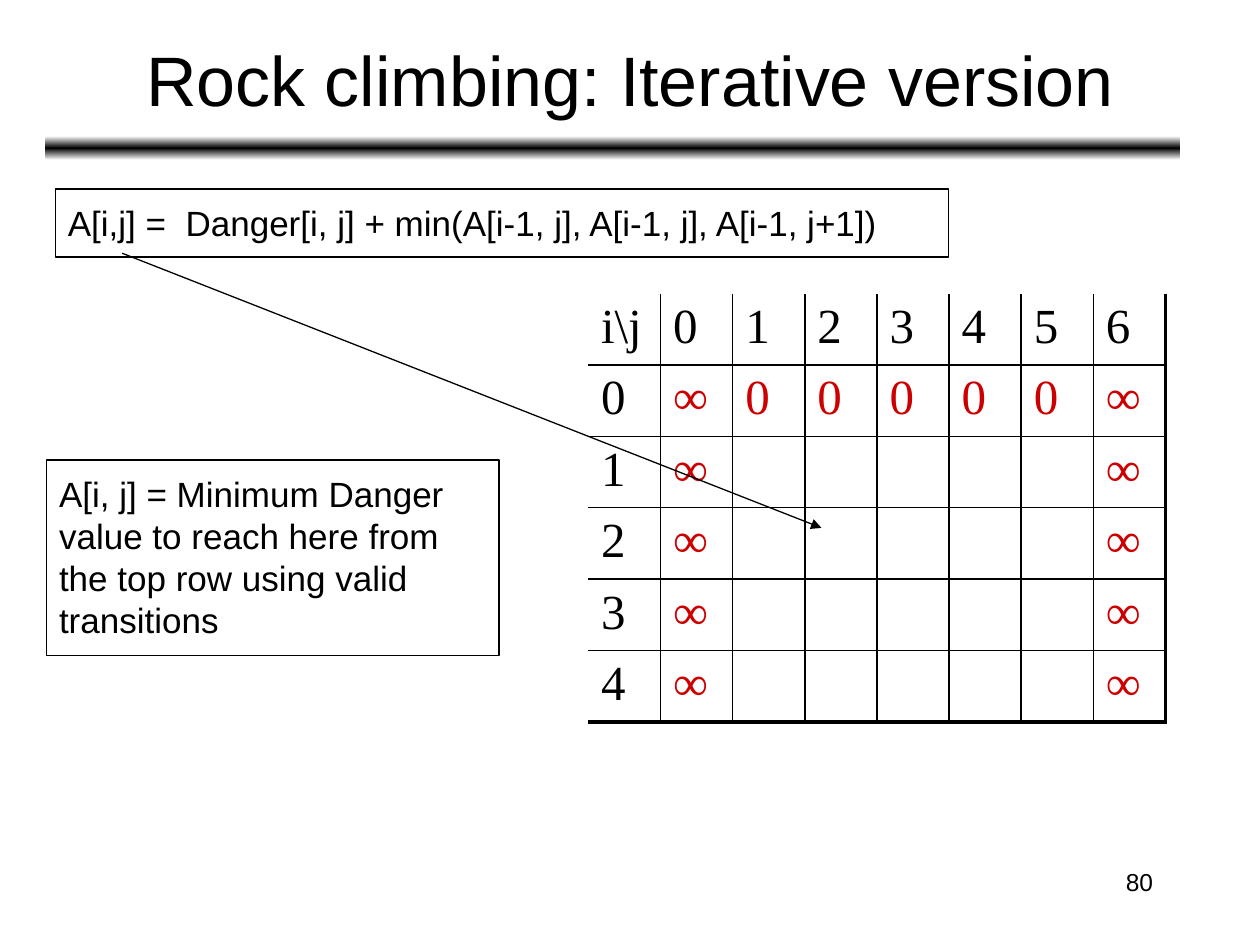
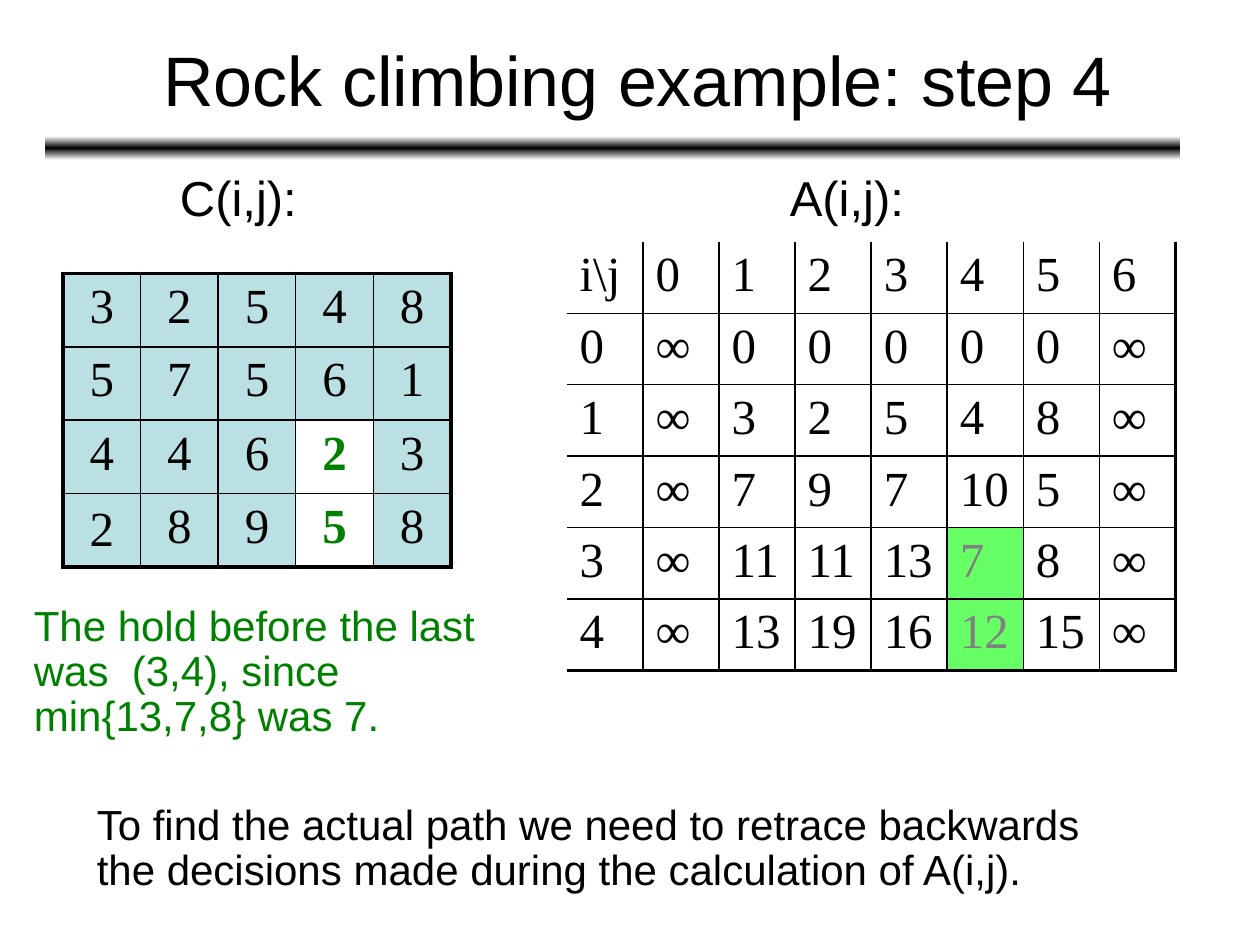
from lxml import etree
from pptx import Presentation
from pptx.dml.color import RGBColor
from pptx.enum.shapes import MSO_CONNECTOR, MSO_SHAPE
from pptx.enum.text import MSO_ANCHOR, MSO_AUTO_SIZE, PP_ALIGN
from pptx.oxml import parse_xml
from pptx.oxml.ns import nsdecls, qn
from pptx.util import Inches, Pt

BLACK, WHITE, RED, GREEN = "000000", "FFFFFF", "CC0000", "008000"
PALE_BLUE, LIME, GREY = "BBE0E3", "66FF66", "808080"
SANS, SERIF = "Arial", "Times New Roman"
THIN, THICK = 1, 2.25

HEADER = ["i\\j", "0", "1", "2", "3", "4", "5", "6"]
OPEN_FRAME = {"L": 0, "R": THICK, "T": 0, "B": THICK}
CLOSED_FRAME = dict.fromkeys("LRTB", THICK)

START_ROWS = [HEADER, ["0", "∞", *"00000", "∞"]] + [
    [str(i), "∞", *[""] * 5, "∞"] for i in range(1, 5)]
RED_VALUES = {(i, j): {"color": RED} for i in range(1, 6) for j in range(1, 8)}

DANGER_ROWS = ["32548", "57561", "44623", "28958"]
ON_PATH = {"color": GREEN, "bold": True, "fill": WHITE}
DANGER_STYLES = {(2, 3): ON_PATH, (3, 3): ON_PATH,
                 (3, 0): {"anchor": MSO_ANCHOR.MIDDLE}}

COST_VALUES = [[0] * 5, [3, 2, 5, 4, 8], [7, 9, 7, 10, 5],
               [11, 11, 13, 7, 8], [13, 19, 16, 12, 15]]
COST_ROWS = [HEADER] + [[str(i), "∞", *map(str, values), "∞"]
                        for i, values in enumerate(COST_VALUES)]
RETRACED = {"color": GREY, "fill": LIME}
COST_STYLES = {(4, 5): RETRACED, (5, 5): RETRACED}


def rgb(color):
    return RGBColor.from_string(color)


def inches(box):
    return [Inches(v) for v in box]


def set_font(font, color=BLACK, **values):
    for name, value in values.items():
        setattr(font, name, value)
    font.color.rgb = rgb(color)


def write(tf, lines, size, color=BLACK, **paragraph_format):
    tf.auto_size = MSO_AUTO_SIZE.NONE
    for i, line in enumerate(lines):
        p = tf.paragraphs[0] if i == 0 else tf.add_paragraph()
        p.text = line
        for name, value in paragraph_format.items():
            setattr(p, name, value)
        set_font(p.runs[0].font, color, name=SANS, size=Pt(size))


def add_text(slide, box, lines, size, color=BLACK, wrap=True, **paragraph_format):
    tf = slide.shapes.add_textbox(*inches(box)).text_frame
    tf.word_wrap = wrap
    write(tf, lines, size, color, **paragraph_format)


def add_framed_note(slide, box, text):
    sp = slide.shapes.add_shape(MSO_SHAPE.RECTANGLE, *inches(box))
    sp.shadow.inherit = False
    sp.fill.background()
    sp.line.color.rgb = rgb(BLACK)
    sp.line.width = Pt(0.75)
    tf = sp.text_frame
    tf.word_wrap = True
    tf.vertical_anchor = MSO_ANCHOR.TOP
    for side in ("left", "right", "top", "bottom"):
        setattr(tf, f"margin_{side}", Inches(0.1))
    write(tf, [text], 20, alignment=PP_ALIGN.LEFT)


def add_arrow(slide, start, end):
    line = slide.shapes.add_connector(MSO_CONNECTOR.STRAIGHT, *inches(start + end))
    line.line.color.rgb = rgb(BLACK)
    line.line.width = Pt(0.75)
    etree.SubElement(line.line._get_or_add_ln(), qn("a:tailEnd"), type="triangle")
    etree.SubElement(line._element.spPr, qn("a:effectLst"))


def add_title_band(slide):
    """Bar under the title that fades from black to white at both edges."""
    sp = slide.shapes.add_shape(MSO_SHAPE.ROUNDED_RECTANGLE,
                                *inches((0.36, 1.08, 9.01, 0.19)))
    sp.shadow.inherit = False
    sp.line.fill.background()
    stops = "".join(f'<a:gs pos="{pos}"><a:srgbClr val="{color}"/></a:gs>'
                    for pos, color in ((0, WHITE), (50000, BLACK), (100000, WHITE)))
    gradient = parse_xml(
        f'<a:gradFill {nsdecls("a")} rotWithShape="1"><a:gsLst>{stops}</a:gsLst>'
        '<a:lin ang="5400000" scaled="1"/></a:gradFill>')
    sp._element.spPr.find(qn("a:prstGeom")).addnext(gradient)


def add_titled_slide(prs, title, left):
    slide = prs.slides.add_slide(prs.slide_layouts[5])
    add_title_band(slide)
    sp = slide.shapes.title
    sp.left, sp.top, sp.width, sp.height = inches((left, 0, 8.5, 1.25))
    sp.text_frame.vertical_anchor = MSO_ANCHOR.MIDDLE
    write(sp.text_frame, [title], 40, alignment=PP_ALIGN.CENTER)
    return slide


def set_borders(cell, widths):
    """Put the four edge lines ahead of the fill; a width of 0 hides the edge."""
    tcPr = cell._tc.get_or_add_tcPr()
    for i, (side, width) in enumerate(widths.items()):
        fill = (f'<a:solidFill><a:srgbClr val="{BLACK}"/></a:solidFill>'
                if width else "<a:noFill/>")
        tcPr.insert(i, parse_xml(
            f'<a:ln{side} {nsdecls("a")} w="{Pt(width)}">{fill}</a:ln{side}>'))


def add_grid(slide, box, rows, frame, styles, fill=None, align=PP_ALIGN.LEFT):
    """Table of equal cells; styles maps (row, column) to what differs there."""
    n_rows, n_cols = len(rows), len(rows[0])
    table = slide.shapes.add_table(n_rows, n_cols, *inches(box)).table
    table.first_row = table.horz_banding = False
    for i, row in enumerate(rows):
        for j, text in enumerate(row):
            style = styles.get((i, j), {})
            cell = table.cell(i, j)
            cell.text = text
            cell.vertical_anchor = style.get("anchor", MSO_ANCHOR.TOP)
            p = cell.text_frame.paragraphs[0]
            p.alignment = align
            for r in p.runs:
                set_font(r.font, style.get("color", BLACK), name=SERIF,
                         size=Pt(28), bold=style.get("bold", False))
            cell_fill = style.get("fill", fill)
            if cell_fill:
                cell.fill.solid()
                cell.fill.fore_color.rgb = rgb(cell_fill)
            else:
                cell.fill.background()
            at_edge = {"L": j == 0, "R": j == n_cols - 1,
                       "T": i == 0, "B": i == n_rows - 1}
            set_borders(cell, {side: frame[side] if edge else THIN
                               for side, edge in at_edge.items()})


def build_iterative_slide(prs):
    slide = add_titled_slide(prs, "Rock climbing: Iterative version", 0.75)
    add_text(slide, (7.17, 6.83, 2.08, 0.5), ["80"], 14, alignment=PP_ALIGN.RIGHT)
    add_grid(slide, (4.67, 2.33, 4.58, 3.4), START_ROWS, OPEN_FRAME, RED_VALUES)
    add_framed_note(slide, (0.44, 1.5, 7.09, 0.54),
                    "A[i,j] =  Danger[i, j] + min(A[i-1, j], A[i-1, j], A[i-1, j+1])")
    add_arrow(slide, (0.97, 2.01), (6.52, 4.19))
    add_framed_note(slide, (0.37, 3.65, 3.59, 1.55),
                    "A[i, j] = Minimum Danger value to reach here from "
                    "the top row using valid transitions")


def build_step_slide(prs):
    slide = add_titled_slide(prs, "Rock climbing example: step 4", 0.81)
    add_grid(slide, (0.5, 2.17, 3.08, 2.33), DANGER_ROWS, CLOSED_FRAME,
             DANGER_STYLES, PALE_BLUE, PP_ALIGN.CENTER)
    for left, label in ((1.33, "C(i,j):"), (6.17, "A(i,j):")):
        add_text(slide, (left, 1.33, 1.15, 0.52), [label], 28, wrap=False,
                 line_spacing=0.9)
    add_grid(slide, (4.5, 1.92, 4.83, 3.4), COST_ROWS, OPEN_FRAME, COST_STYLES)
    add_text(slide, (0.17, 4.75, 4.08, 1.18),
             ["The hold before the last", "was  (3,4), since", "min{13,7,8} was 7."],
             24, GREEN, line_spacing=0.9)
    add_text(slide, (0.67, 6.33, 8.76, 0.82),
             ["To find the actual path we need to retrace backwards",
              "the decisions made during the calculation of A(i,j)."],
             24, line_spacing=0.9)


def main():
    prs = Presentation()
    prs.slide_width, prs.slide_height = Inches(10), Inches(7.5)
    build_iterative_slide(prs)
    build_step_slide(prs)
    prs.save("out.pptx")


if __name__ == "__main__":
    main()
